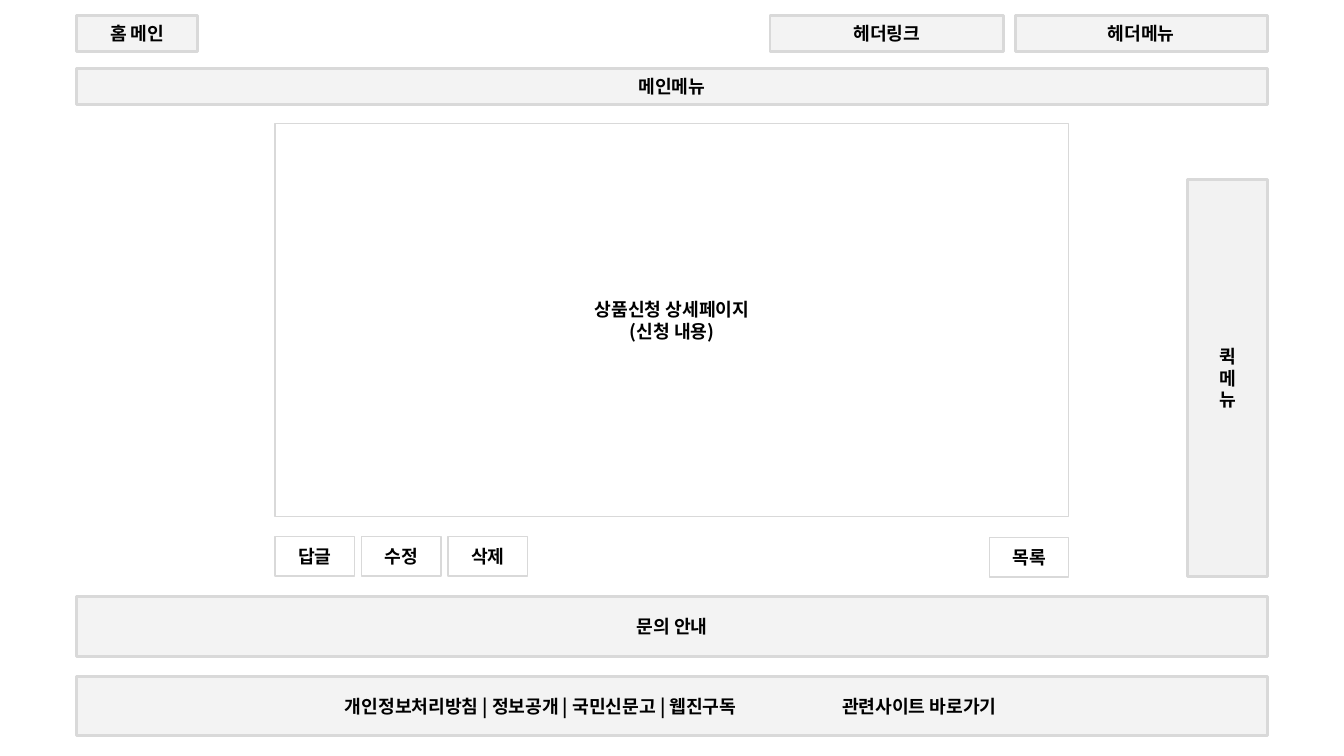
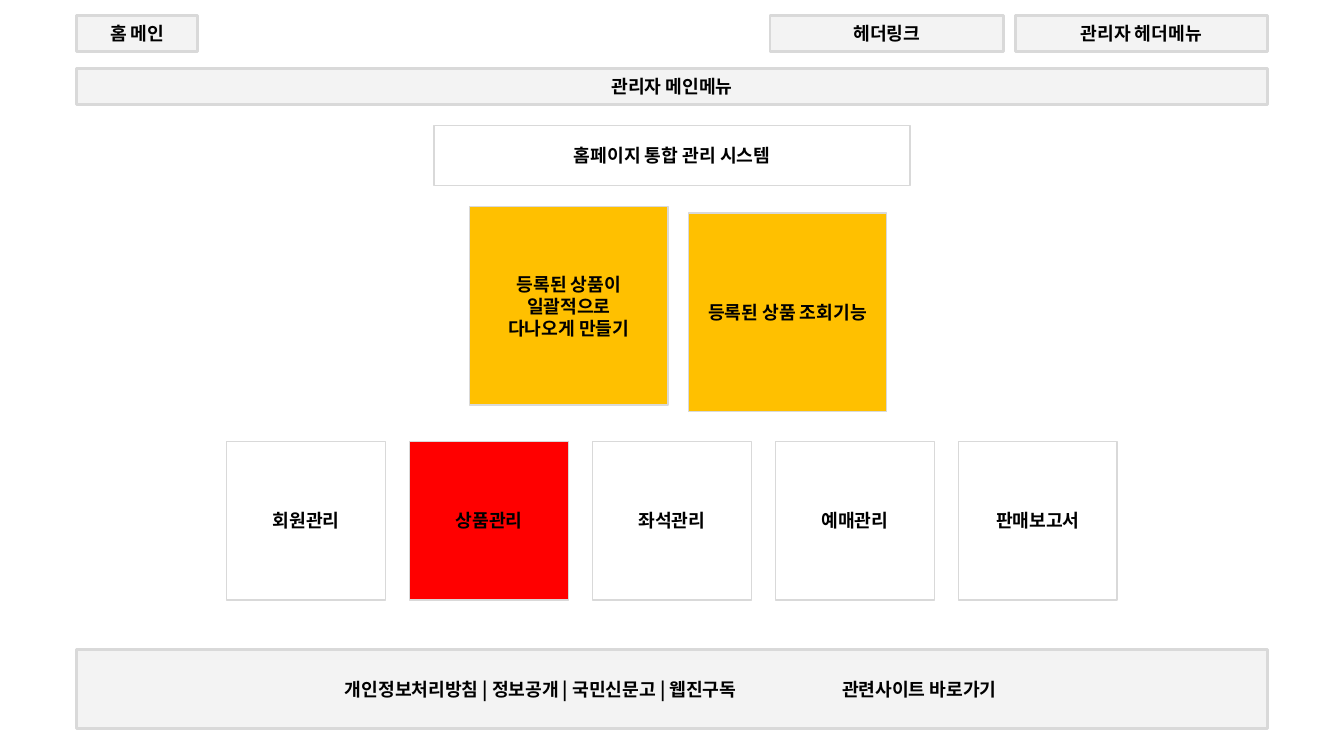
import collections

import lxml.etree
import pptx
import pptx.dml.color
import pptx.enum.shapes
import pptx.enum.text
import pptx.oxml.ns
import pptx.util

FONT = "Noto Sans CJK KR"
BORDER, PANEL, WHITE, BLACK = "D9D9D9", "D9D9D9", "FFFFFF", "000000"
AMBER, RED = "FFC000", "FF0000"
Cm = pptx.util.Cm
Box = collections.namedtuple("Box", "left top width height")

SLIDE = Box(0, 0, 33.87, 19.05)
PAGE_WIDTH = 30
PAGE_LEFT = (SLIDE.width - PAGE_WIDTH) / 2
HEADER = Box(PAGE_LEFT, 0.4, PAGE_WIDTH, 2.23)
BAR_HEIGHT = 0.9
POLICY_LINKS = "개인정보처리방침 | 정보공개 | 국민신문고 | 웹진구독"
RELATED_SITES = "관련사이트 바로가기"


def color(hex_code):
    """Turn a hex string into a colour."""
    return pptx.dml.color.RGBColor.from_string(hex_code)


def write(frame, text, size=13, bold=True, ink=BLACK, align="CENTER"):
    """Write each line of text as one formatted paragraph."""
    frame.word_wrap = True
    frame.vertical_anchor = pptx.enum.text.MSO_ANCHOR.MIDDLE
    for index, line in enumerate(text.split("\n")):
        paragraph = frame.add_paragraph() if index else frame.paragraphs[0]
        paragraph.alignment = getattr(pptx.enum.text.PP_ALIGN, align)
        run = paragraph.add_run()
        run.text = line
        run.font.name = FONT
        run.font.size = pptx.util.Pt(size)
        run.font.bold = bold
        run.font.color.rgb = color(ink)
        east_asian = lxml.etree.SubElement(run.font._element, pptx.oxml.ns.qn("a:ea"))
        east_asian.set("typeface", FONT)


def block(slide, box, text, fill=WHITE, opacity=100, border=1, **text_format):
    """Draw a bordered rectangle with its label."""
    rectangle = slide.shapes.add_shape(
        pptx.enum.shapes.MSO_SHAPE.RECTANGLE, *(Cm(length) for length in box))
    rectangle.shadow.inherit = False
    rectangle.fill.solid()
    rectangle.fill.fore_color.rgb = color(fill)
    if opacity < 100:
        tint = rectangle.fill._xPr.find(".//" + pptx.oxml.ns.qn("a:srgbClr"))
        alpha = lxml.etree.SubElement(tint, pptx.oxml.ns.qn("a:alpha"))
        alpha.set("val", str(opacity * 1000))
    rectangle.line.color.rgb = color(BORDER)
    rectangle.line.width = pptx.util.Pt(border)
    write(rectangle.text_frame, text, **text_format)
    return rectangle


def panel(slide, box, text, fill=PANEL, opacity=30, **text_format):
    """Draw a translucent grey part of the page frame."""
    return block(slide, box, text, fill, opacity, border=2, **text_format)


def header(slide, box, menu, main_menu):
    """Place the home button, header links and main menu bar."""
    right = box.left + box.width
    panel(slide, Box(box.left, box.top, 3.05, BAR_HEIGHT), "홈 메인")
    panel(slide, Box(right - 12.53, box.top, 5.89, BAR_HEIGHT), "헤더링크")
    panel(slide, Box(right - 6.35, box.top, 6.35, BAR_HEIGHT), menu)
    main_top = box.top + box.height - BAR_HEIGHT
    panel(slide, Box(box.left, main_top, box.width, BAR_HEIGHT), main_menu)


def footer(slide, box):
    """Place the footer links, with a tab stop before the related sites."""
    links = panel(slide, box, POLICY_LINKS + "\t" + RELATED_SITES, align="LEFT")
    links.text_frame.margin_left = Cm(6.76)
    properties = links.text_frame.paragraphs[0]._p.get_or_add_pPr()
    stops = lxml.etree.SubElement(properties, pptx.oxml.ns.qn("a:tabLst"))
    stop = lxml.etree.SubElement(stops, pptx.oxml.ns.qn("a:tab"))
    stop.set("pos", str(Cm(12.53)))
    stop.set("algn", "l")


def application(slide, box):
    """Place the application details above their action buttons."""
    button_width, button_height, step = 2, 1, 2.18
    button_top = box.top + box.height - button_height
    block(slide, Box(box.left, box.top, box.width, 9.9),
          "상품신청 상세페이지\n(신청 내용)")
    for index, action in enumerate(("답글", "수정", "삭제")):
        block(slide, Box(box.left + index * step, button_top,
                         button_width, button_height), action)
    block(slide, Box(box.left + box.width - button_width, button_top + 0.02,
                     button_width, button_height), "목록")


def management(slide, box):
    """Place the system title, product notes and row of management cards."""
    block(slide, Box(box.left + (box.width - 12) / 2, box.top, 12, 1.5),
          "홈페이지 통합 관리 시스템")
    note_size = 5
    block(slide, Box(box.left + 6.12, box.top + 2.04, note_size, note_size),
          "등록된 상품이\n일괄적으로\n다나오게 만들기", AMBER)
    block(slide, Box(box.left + 11.63, box.top + 2.2, note_size, note_size),
          "등록된 상품 조회기능", AMBER)
    cards = ("회원관리", "상품관리", "좌석관리", "예매관리", "판매보고서")
    card_size = 4
    step = (box.width - card_size) / (len(cards) - 1)
    for index, card in enumerate(cards):
        block(slide, Box(box.left + index * step, box.top + box.height - card_size,
                         card_size, card_size),
              card, RED if card == "상품관리" else WHITE)


def detail_slide(slide, box):
    """Build the application detail page."""
    header(slide, HEADER, "헤더메뉴", "메인메뉴")
    application(slide, Box(box.left + (box.width - 20) / 2, 3.12, 20, 11.4))
    panel(slide, Box(PAGE_LEFT + PAGE_WIDTH - 2, 4.52, 2, 10), "퀵\n메\n뉴",
          fill="BFBFBF", opacity=20)
    panel(slide, Box(PAGE_LEFT, 15.04, PAGE_WIDTH, 1.5), "문의 안내")
    footer(slide, Box(PAGE_LEFT, 17.04, PAGE_WIDTH, 1.5))


def admin_slide(slide, box):
    """Build the administrator page."""
    header(slide, HEADER, "관리자 헤더메뉴", "관리자 메인메뉴")
    management(slide, Box(box.left + (box.width - 22.44) / 2, 3.17, 22.44, 11.95))
    footer(slide, Box(PAGE_LEFT, 16.36, PAGE_WIDTH, 2))


def main():
    """Build and save the presentation."""
    deck = pptx.Presentation()
    deck.slide_width, deck.slide_height = Cm(SLIDE.width), Cm(SLIDE.height)
    for build in (detail_slide, admin_slide):
        build(deck.slides.add_slide(deck.slide_layouts[6]), SLIDE)
    deck.save("out.pptx")


if __name__ == "__main__":
    main()
